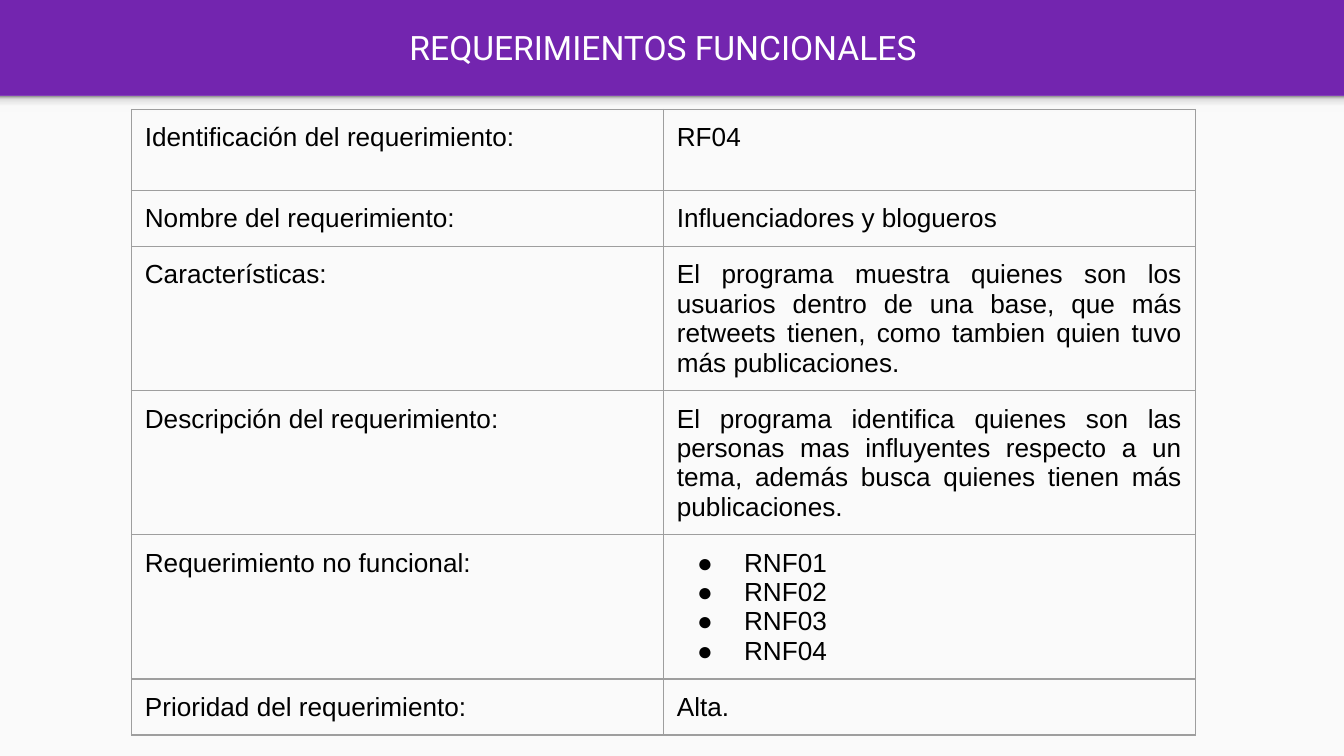
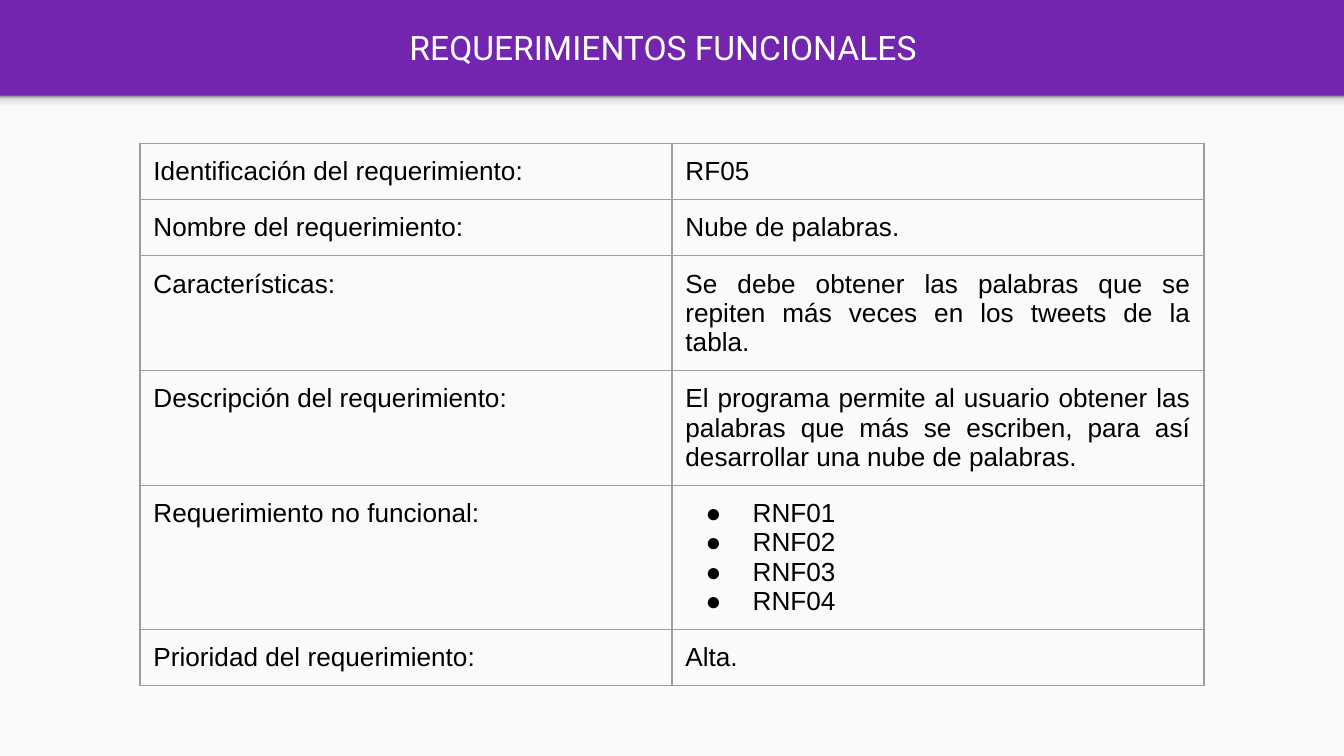
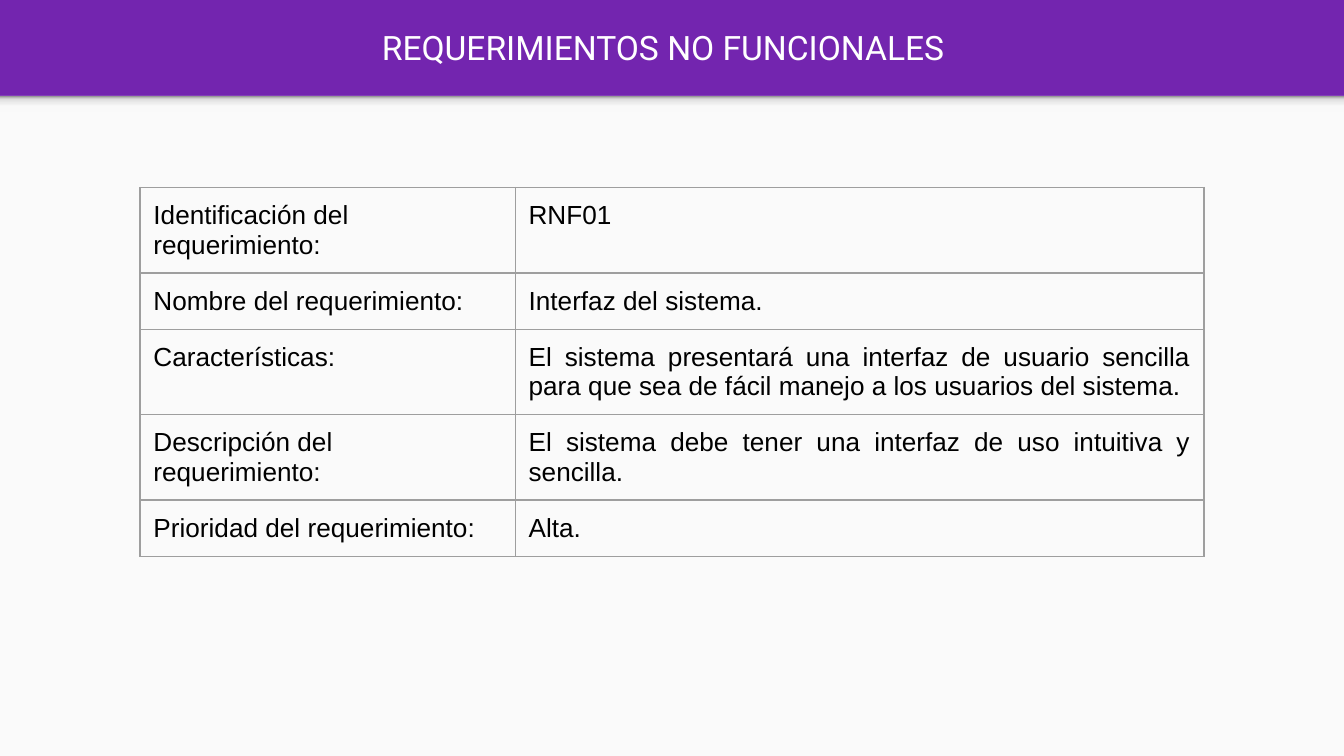
"""Build the three requirement slides, each a title band over a two-column table."""

from lxml import etree
from pptx import Presentation
from pptx.dml.color import RGBColor
from pptx.enum.shapes import MSO_SHAPE
from pptx.enum.text import MSO_ANCHOR, PP_ALIGN
from pptx.oxml.ns import qn
from pptx.util import Pt

RECTANGLE = MSO_SHAPE.RECTANGLE
MIDDLE = MSO_ANCHOR.MIDDLE
CENTER, JUSTIFY, LEFT = PP_ALIGN.CENTER, PP_ALIGN.JUSTIFY, PP_ALIGN.LEFT

WIDTH, HEIGHT, BAND = 720, 405, 51.45
INSET, CELL_BOTTOM = 7.2, 2
LINE_HEIGHT = 15.7

IDENTIFIER = "Identificación del requerimiento:"
NAME = "Nombre del requerimiento:"
FEATURES = "Características:"
DESCRIPTION = "Descripción del requerimiento: "
NON_FUNCTIONAL = "Requerimiento no funcional:"
PRIORITY = "Prioridad del requerimiento:"
NON_FUNCTIONAL_CODES = ["RNF01", "RNF02", "RNF03", "RNF04"]


def color(hex_string):
    """Turn a hex string into a colour."""
    return RGBColor.from_string(hex_string)


def row_heights(*line_counts):
    """Give the height of each row from its number of text lines."""
    return [2 * INSET + LINE_HEIGHT * count for count in line_counts]


def add_element(parent, tag, **attributes):
    """Append a drawing element with the given attributes."""
    values = {key: str(value) for key, value in attributes.items()}
    return etree.SubElement(parent, qn(tag), values)


def add_bullet(para, size, font, ink, left=36, hanging=25.2):
    """Give a paragraph a round bullet and a hanging indent."""
    properties = para._p.get_or_add_pPr()
    properties.set("marL", str(Pt(left)))
    properties.set("indent", str(-Pt(hanging)))
    bullet_color = add_element(properties, "a:buClr")
    add_element(bullet_color, "a:srgbClr", val=ink)
    add_element(properties, "a:buSzPts", val=size * 100)
    add_element(properties, "a:buFont", typeface=font)
    add_element(properties, "a:buChar", char="●")


def write(frame, text, size=14, font="Arial", ink="000000", align=JUSTIFY, bullets=False):
    """Write one paragraph, or one for each string of a list."""
    lines = [text] if isinstance(text, str) else text
    for index, line in enumerate(lines):
        para = frame.add_paragraph() if index else frame.paragraphs[0]
        para.alignment = align
        if bullets:
            add_bullet(para, size, font, ink)
        span = para.add_run()
        span.text = line
        span.font.size = Pt(size)
        span.font.name = font
        span.font.color.rgb = color(ink)


def set_margins(holder, bottom=INSET):
    """Set the insets of a cell or a text frame."""
    holder.margin_left = holder.margin_right = holder.margin_top = Pt(INSET)
    holder.margin_bottom = Pt(bottom)


class RequirementDeck:
    """Hold the deck style and the current slide."""

    purple, paper, white, rule = "7325AF", "FAFAFA", "FFFFFF", "9E9E9E"
    shade_stops = ((0, "F9F9F9"), (36, "F9F9F9"), (80, "DEDEDE"), (100, "999999"))

    def __init__(self):
        """Open an empty deck of the right size."""
        self.deck = Presentation()
        self.deck.slide_width, self.deck.slide_height = Pt(WIDTH), Pt(HEIGHT)
        self.page = None

    def add_page(self, title):
        """Start a slide with its background, panel, shade and title."""
        self.page = self.deck.slides.add_slide(self.deck.slide_layouts[6])
        background = self.page.background.fill
        background.solid()
        background.fore_color.rgb = color(self.purple)
        self.add_panel(HEIGHT - BAND)
        self.add_shade(self.add_panel(8.6))
        self.add_title(title)

    def add_panel(self, height):
        """Draw a full-width rectangle below the title band."""
        panel = self.page.shapes.add_shape(RECTANGLE, 0, Pt(BAND), Pt(WIDTH), Pt(height))
        panel.shadow.inherit = False
        panel.line.fill.background()
        panel.fill.solid()
        panel.fill.fore_color.rgb = color(self.paper)
        return panel

    def add_shade(self, panel):
        """Fill a panel with the gradient that darkens towards its top."""
        panel.fill.gradient()
        panel.fill.gradient_angle = 90
        stops = panel._element.spPr.find(qn("a:gradFill")).find(qn("a:gsLst"))
        for stop in list(stops):
            stops.remove(stop)
        for percent, tone in self.shade_stops:
            stop = add_element(stops, "a:gs", pos=percent * 1000)
            add_element(stop, "a:srgbClr", val=tone)

    def add_title(self, title):
        """Write the title centred in the band."""
        box = self.page.shapes.add_textbox(Pt(7.9), Pt(1.6), Pt(694.8), Pt(47.5))
        frame = box.text_frame
        frame.word_wrap = True
        frame.vertical_anchor = MIDDLE
        set_margins(frame)
        write(frame, title, size=18, font="Roboto", ink=self.white, align=CENTER)

    def add_table(self, left, top, widths, heights, rows, ragged=()):
        """Draw the label and value rows; ragged lists the left-aligned cells."""
        shape = self.page.shapes.add_table(
            len(rows), len(widths), Pt(left), Pt(top), Pt(sum(widths)), Pt(sum(heights)))
        table = shape.table
        table.first_row = table.horz_banding = False
        for column, width in zip(table.columns, widths):
            column.width = Pt(width)
        for line, height in zip(table.rows, heights):
            line.height = Pt(height)
        for row, texts in enumerate(rows):
            for column, text in enumerate(texts):
                cell = table.cell(row, column)
                self.style_cell(cell)
                write(cell.text_frame, text,
                      align=LEFT if (row, column) in ragged else JUSTIFY,
                      bullets=text is NON_FUNCTIONAL_CODES)

    def style_cell(self, cell):
        """Give a cell its insets, grey borders and no fill."""
        set_margins(cell, bottom=CELL_BOTTOM)
        properties = cell._tc.get_or_add_tcPr()
        for side in "LRTB":
            border = add_element(properties, f"a:ln{side}", w=Pt(0.75))
            add_element(add_element(border, "a:solidFill"), "a:srgbClr", val=self.rule)
        cell.fill.background()


def main():
    """Build and save the deck."""
    requirements = RequirementDeck()
    halves = (285, 285)

    requirements.add_page("REQUERIMIENTOS FUNCIONALES")
    requirements.add_table(70.4, 58.7, halves, [43.4] + row_heights(1, 4, 4, 4, 1), [
        (IDENTIFIER, "RF04"),
        (NAME, "Influenciadores y blogueros"),
        (FEATURES, "El programa muestra quienes son los usuarios dentro de una base, "
                   "que más retweets tienen, como tambien quien tuvo más publicaciones."),
        (DESCRIPTION, "El programa identifica quienes son las personas mas influyentes "
                      "respecto a un tema, además busca quienes tienen más publicaciones."),
        (NON_FUNCTIONAL, NON_FUNCTIONAL_CODES),
        (PRIORITY, "Alta."),
    ])

    requirements.add_page("REQUERIMIENTOS FUNCIONALES")
    requirements.add_table(75, 76.9, halves, row_heights(1, 1, 3, 3, 4, 1), [
        (IDENTIFIER, "RF05"),
        (NAME, "Nube de palabras."),
        (FEATURES, "Se debe obtener las palabras que se repiten más veces "
                   "en los tweets de la tabla."),
        (DESCRIPTION, "El programa permite al usuario obtener las palabras que más "
                      "se escriben, para así desarrollar una nube de palabras."),
        (NON_FUNCTIONAL, NON_FUNCTIONAL_CODES),
        (PRIORITY, "Alta."),
    ])

    requirements.add_page("REQUERIMIENTOS NO FUNCIONALES")
    requirements.add_table(75, 100.5, (201, 369), row_heights(2, 1, 2, 2, 1), [
        (IDENTIFIER, "RNF01"),
        (NAME, "Interfaz del sistema."),
        (FEATURES, "El sistema presentará una interfaz de usuario sencilla para que "
                   "sea de fácil manejo a los usuarios del sistema."),
        (["Descripción del", "requerimiento:"],
         "El sistema debe tener una interfaz de uso intuitiva y sencilla."),
        (PRIORITY, "Alta."),
    ], ragged=[(0, 0)])

    requirements.deck.save("out.pptx")


if __name__ == "__main__":
    main()
